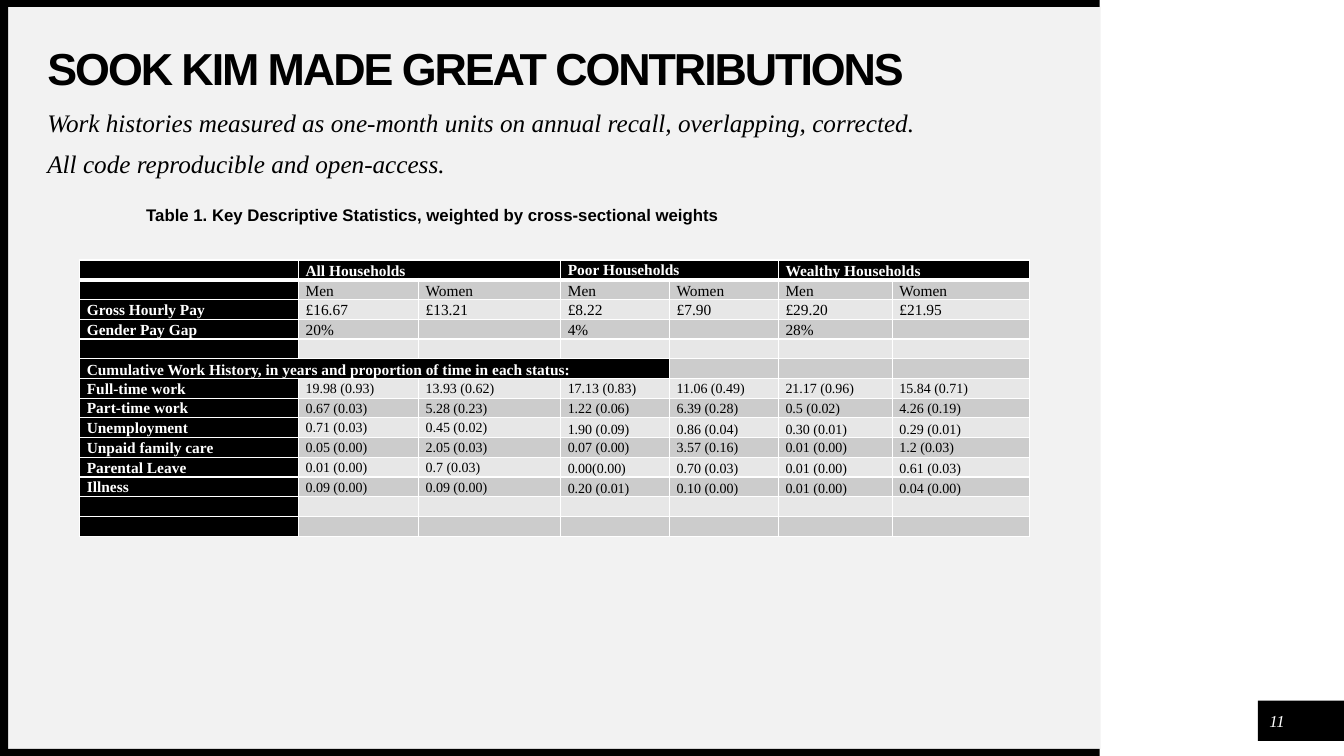
import dataclasses
import typing

import lxml.etree
import pptx
import pptx.dml.color
import pptx.enum.shapes
import pptx.enum.text
import pptx.oxml
import pptx.oxml.ns
import pptx.util

ALIGN = pptx.enum.text.PP_ALIGN
ANCHORS = {
    "t": pptx.enum.text.MSO_ANCHOR.TOP,
    "m": pptx.enum.text.MSO_ANCHOR.MIDDLE,
    "b": pptx.enum.text.MSO_ANCHOR.BOTTOM,
}
SLIDE_WIDTH = pptx.util.Inches(13.333)
SLIDE_HEIGHT = pptx.util.Inches(7.5)


@dataclasses.dataclass(frozen=True)
class Theme:
    ink: str = "000000"
    paper: str = "FFFFFF"
    panel: str = "F2F2F2"
    light_band: str = "E7E7E7"
    dark_band: str = "CCCCCC"
    sans: str = "Arial"
    serif: str = "Times New Roman"
    title_size: float = 32
    subtitle_size: float = 18
    caption_size: float = 12
    label_size: float = 11
    figure_size: float = 10


THEME = Theme()


class Box(typing.NamedTuple):
    left: float
    top: float
    width: float
    height: float

    def place(self) -> tuple[int, int, int, int]:
        return across(self.left), down(self.top), across(self.width), down(self.height)


@dataclasses.dataclass(frozen=True)
class Style:
    face: str
    size: float
    color: str = THEME.ink
    bold: bool = False
    italic: bool = False
    spacing: typing.Optional[float] = None
    line: typing.Optional[float] = None
    gap: float = 0
    align: typing.Any = ALIGN.LEFT


@dataclasses.dataclass(frozen=True)
class Row:
    cells: tuple[str, ...] = ("",) * 7
    anchors: str = "bbbbbbb"
    spans: tuple[tuple[int, int], ...] = ()
    dark: int = 1
    size: float = THEME.label_size


@dataclasses.dataclass(frozen=True)
class Note:
    box: Box
    lines: tuple[str, ...]
    style: Style
    anchor: str = "t"
    inset: float = 0


def across(percent: float) -> int:
    return round(SLIDE_WIDTH * percent / 100)


def down(percent: float) -> int:
    return round(SLIDE_HEIGHT * percent / 100)


def rgb(color: str) -> pptx.dml.color.RGBColor:
    return pptx.dml.color.RGBColor.from_string(color)


def write(frame: typing.Any, lines: tuple[str, ...], style: Style) -> None:
    for index, line in enumerate(lines):
        paragraph = frame.add_paragraph() if index else frame.paragraphs[0]
        paragraph.text = line
        paragraph.alignment = style.align
        paragraph.line_spacing = style.line
        paragraph.space_before = pptx.util.Pt(style.gap if index else 0)
        font = paragraph.font
        font.name, font.size = style.face, pptx.util.Pt(style.size)
        font.bold, font.italic = style.bold, style.italic
        font.color.rgb = rgb(style.color)
        if style.spacing is not None:
            for run in paragraph.runs:
                run._r.get_or_add_rPr().set("spc", str(round(style.spacing * 100)))


def fill_note(shape: typing.Any, note: Note) -> None:
    shape.left, shape.top, shape.width, shape.height = note.box.place()
    frame = shape.text_frame
    frame.word_wrap = True
    frame.auto_size = pptx.enum.text.MSO_AUTO_SIZE.NONE
    frame.vertical_anchor = ANCHORS[note.anchor]
    frame.margin_left = across(note.inset)
    frame.margin_top = frame.margin_right = frame.margin_bottom = 0
    write(frame, note.lines, note.style)


def draw_block(slide: typing.Any, box: Box, color: str) -> None:
    block = slide.shapes.add_shape(pptx.enum.shapes.MSO_SHAPE.RECTANGLE, *box.place())
    block.shadow.inherit = False
    block.fill.solid()
    block.fill.fore_color.rgb = rgb(color)
    block.line.fill.background()


def draw_borders(cell: typing.Any, bottom: float) -> None:
    properties = cell._tc.get_or_add_tcPr()
    for index, (side, width) in enumerate((("L", 1), ("R", 1), ("T", 1), ("B", bottom))):
        border = pptx.oxml.parse_xml(
            f'<a:ln{side} {pptx.oxml.ns.nsdecls("a")} w="{pptx.util.Pt(width)}">'
            f'<a:solidFill><a:srgbClr val="{THEME.paper}"/></a:solidFill></a:ln{side}>'
        )
        properties.insert(index, border)


def draw_statistics(slide: typing.Any, left: float, top: float, columns: tuple[float, ...],
                    row_height: float, rows: tuple[Row, ...]) -> None:
    area = Box(left, top, sum(columns), row_height * len(rows))
    statistics = slide.shapes.add_table(len(rows), len(columns), *area.place()).table
    statistics.first_row = statistics.horz_banding = False
    for column, width in zip(statistics.columns, columns):
        column.width = across(width)
    for r, row in enumerate(rows):
        statistics.rows[r].height = down(row_height)
        for c, text in enumerate(row.cells):
            cell = statistics.cell(r, c)
            dark = c < row.dark
            cell.margin_left = cell.margin_right = across(0.53)
            cell.margin_top = cell.margin_bottom = 0
            cell.vertical_anchor = ANCHORS[row.anchors[c]]
            cell.fill.solid()
            band = THEME.dark_band if r % 2 else THEME.light_band
            cell.fill.fore_color.rgb = rgb(THEME.ink if dark else band)
            draw_borders(cell, 1 if r else 3)
            size = THEME.label_size if dark else row.size
            color = THEME.paper if dark else THEME.ink
            write(cell.text_frame, (text,), Style(THEME.serif, size, color, dark, line=1.07))
            if not text:
                ending = lxml.etree.SubElement(cell.text_frame.paragraphs[0]._p,
                                               pptx.oxml.ns.qn("a:endParaRPr"))
                ending.set("sz", str(THEME.figure_size * 100))
        for first, last in row.spans:
            statistics.cell(r, first).merge(statistics.cell(r, last))


BLOCKS = (
    (Box(0.6, 0.93, 81.3, 98.13), THEME.panel),
    (Box(93.6, 92.67, 6.4, 5.33), THEME.ink),
    (Box(0, 99.07, 81.83, 0.93), THEME.ink),
    (Box(0, 0, 81.83, 0.93), THEME.ink),
    (Box(0, 0, 0.6, 100), THEME.ink),
)
TITLE = Note(Box(3.53, 6.27, 75.45, 6.27), ("SOOK KIM MADE GREAT CONTRIBUTIONS",),
             Style(THEME.sans, THEME.title_size, bold=True, spacing=-1.5, line=0.9), "m")
NOTES = (
    Note(Box(3.53, 14.67, 75.45, 5.2),
         ("Work histories measured as one-month units on annual recall, overlapping, corrected.",
          "All code reproducible and open-access."),
         Style(THEME.serif, THEME.subtitle_size, italic=True, line=0.9, gap=10)),
    Note(Box(93.9, 93.33, 2.25, 4), ("11",),
         Style(THEME.serif, THEME.caption_size, THEME.paper, italic=True, align=ALIGN.CENTER), "m"),
    Note(Box(10.13, 27.07, 45, 6.67),
         ("Table 1. Key Descriptive Statistics, weighted by cross-sectional weights",),
         Style(THEME.sans, THEME.caption_size, bold=True), inset=0.75),
)
COLUMNS = (16.28, 8.93, 10.58, 8.1, 8.1, 8.48, 10.2)
FIGURES = (
    ("mmmmmmm", "Full-time work", "19.98 (0.93)", "13.93 (0.62)", "17.13 (0.83)", "11.06 (0.49)", "21.17 (0.96)", "15.84 (0.71)"),
    ("mmmmmmm", "Part-time work", "0.67 (0.03)", "5.28 (0.23)", "1.22 (0.06)", "6.39 (0.28)", "0.5 (0.02)", "4.26 (0.19)"),
    ("mmmbbbb", "Unemployment", "0.71 (0.03)", "0.45 (0.02)", "1.90 (0.09)", "0.86 (0.04)", "0.30 (0.01)", "0.29 (0.01)"),
    ("mmmmmmm", "Unpaid family care", "0.05 (0.00)", "2.05 (0.03)", "0.07 (0.00)", "3.57 (0.16)", "0.01 (0.00)", "1.2 (0.03)"),
    ("bmmbbbb", "Parental Leave", "0.01 (0.00)", "0.7 (0.03)", "0.00(0.00)", "0.70 (0.03)", "0.01 (0.00)", "0.61 (0.03)"),
    ("mmmbbbb", "Illness", "0.09 (0.00)", "0.09 (0.00)", "0.20 (0.01)", "0.10 (0.00)", "0.01 (0.00)", "0.04 (0.00)"),
)
ROWS = (
    Row(("", "All Households", "", "Poor Households", "", "Wealthy Households", ""),
        "bbbtbbb", ((1, 2), (3, 4), (5, 6)), dark=7),
    Row(("",) + ("Men", "Women") * 3),
    Row(("Gross Hourly Pay", "£16.67", "£13.21", "£8.22", "£7.90", "£29.20", "£21.95")),
    Row(("Gender Pay Gap", "20%", "", "4%", "", "28%", "")),
    Row(),
    Row(("Cumulative Work History, in years and proportion of time in each status:",) + ("",) * 6,
        spans=((0, 3),), dark=4),
    *(Row(tuple(cells), anchors, size=THEME.figure_size) for anchors, *cells in FIGURES),
    Row(),
    Row(),
)


def main() -> None:
    deck = pptx.Presentation()
    deck.slide_width, deck.slide_height = SLIDE_WIDTH, SLIDE_HEIGHT
    slide = deck.slides.add_slide(deck.slide_layouts[5])
    for box, color in BLOCKS:
        draw_block(slide, box, color)
    heading = slide.shapes.title
    slide.shapes._spTree.append(heading._element)
    fill_note(heading, TITLE)
    for note in NOTES:
        fill_note(slide.shapes.add_textbox(*note.box.place()), note)
    draw_statistics(slide, 5.93, 34.4, COLUMNS, 2.61, ROWS)
    deck.save("out.pptx")


if __name__ == "__main__":
    main()
